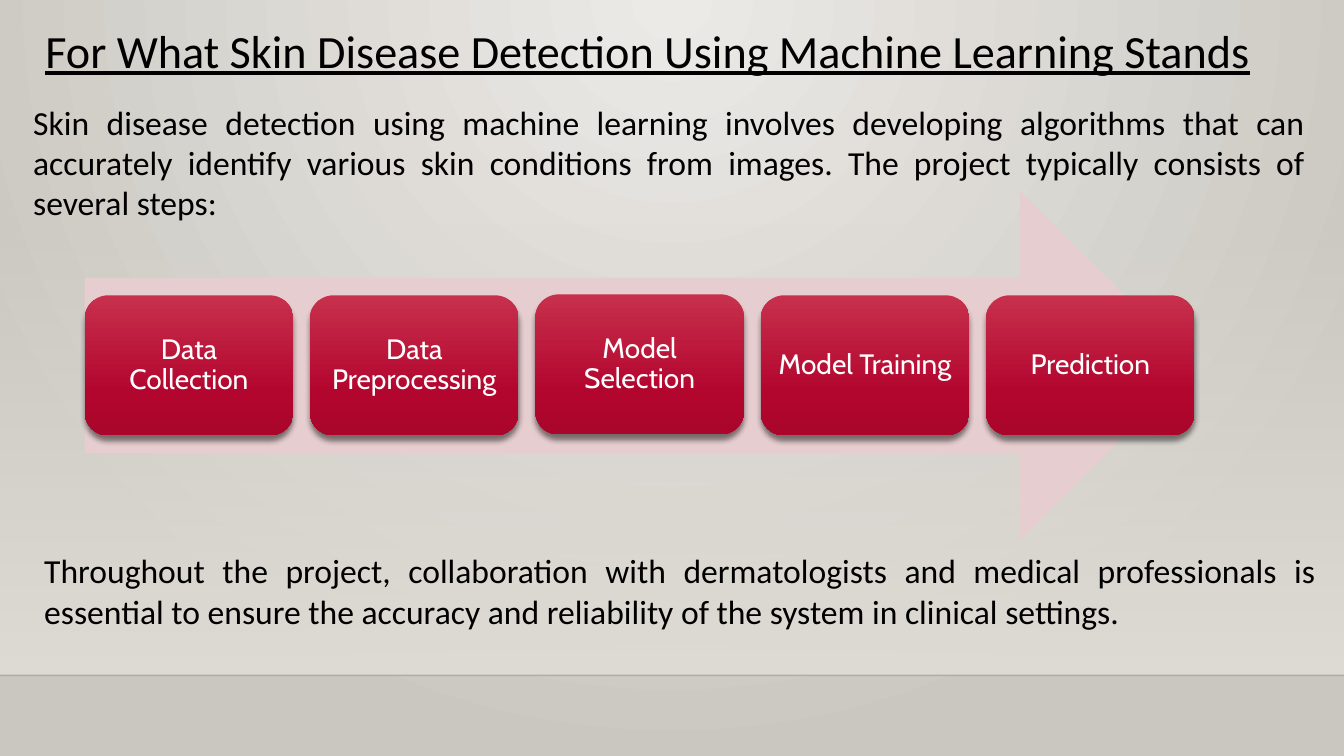
from dataclasses import dataclass

from lxml.etree import SubElement
from pptx import Presentation
from pptx.dml.color import RGBColor
from pptx.enum.shapes import MSO_CONNECTOR as Conn, MSO_SHAPE as Kind
from pptx.enum.text import MSO_ANCHOR as Anchor, MSO_AUTO_SIZE as Fit, PP_ALIGN as Align
from pptx.oxml import parse_xml
from pptx.oxml.ns import nsdecls, qn
from pptx.shapes.autoshape import Shape
from pptx.slide import Slide
from pptx.text.text import TextFrame
from pptx.util import Inches, Pt


@dataclass(frozen=True)
class Stop:
    pos: int
    color: str
    alpha: int = 100


@dataclass(frozen=True)
class Theme:
    text: str = "000000"
    label: str = "FFFFFF"
    arrow: str = "E6CDCF"
    rule: str = "000001"
    back: tuple[Stop, ...] = (Stop(0, "ECEAE7"), Stop(100, "CAC7C1"))
    shade: tuple[Stop, ...] = (Stop(0, "DFDBD5", 0), Stop(100, "DFDBD5"))
    step: tuple[Stop, ...] = (Stop(0, "C7304C"), Stop(69, "B3062F"), Stop(100, "AA062C"))
    font: str = "Calibri"
    step_font: str = "Cabin"
    title_size: int = 33
    body_size: int = 24
    step_size: int = 20


@dataclass(frozen=True)
class Step:
    label: str
    top: float = 2.93


@dataclass(frozen=True)
class Note:
    left: float
    top: float
    width: float
    height: float
    text: str


THEME = Theme()
WIDTH, HEIGHT = 13.33, 7.5
FLOOR = 6.7
STEP_LEFT, STEP_PITCH = 0.84, 2.235
STEP_WIDTH, STEP_HEIGHT = 2.07, 1.39
DOWN = '<a:lin ang="5400000" scaled="0"/>'
ROUND = '<a:path path="circle"><a:fillToRect l="43000" r="43000" b="100000"/></a:path>'

TITLE = "For What Skin Disease Detection Using Machine Learning Stands"
STEPS = [
    Step("Data Collection"),
    Step("Data Preprocessing"),
    Step("Model Selection", 2.92),
    Step("Model Training"),
    Step("Prediction"),
]
NOTES = [
    Note(0.23, 0.96, 12.81, 1.32,
         "Skin disease detection using machine learning involves developing algorithms "
         "that can accurately identify various skin conditions from images. "
         "The project typically consists of several steps:"),
    Note(0.34, 5.41, 12.81, 0.91,
         "Throughout the project, collaboration with dermatologists and medical "
         "professionals is essential to ensure the accuracy and reliability of the "
         "system in clinical settings."),
]


def grad_xml(stops: tuple[Stop, ...], course: str) -> str:
    marks = "".join(
        f'<a:gs pos="{s.pos * 1000}"><a:srgbClr val="{s.color}">'
        f'<a:alpha val="{s.alpha * 1000}"/></a:srgbClr></a:gs>' for s in stops)
    return (f'<a:gradFill {nsdecls("a")} rotWithShape="1">'
            f'<a:gsLst>{marks}</a:gsLst>{course}</a:gradFill>')


def paint_back(slide: Slide) -> None:
    back = parse_xml(f'<p:bg {nsdecls("p", "a")}><p:bgPr>'
                     f'{grad_xml(THEME.back, ROUND)}<a:effectLst/></p:bgPr></p:bg>')
    slide.element.find(qn("p:cSld")).insert(0, back)


def add_block(slide: Slide, kind: Kind, left: float, top: float,
              width: float, height: float) -> Shape:
    """Add a preset shape with neither outline nor shadow."""
    block = slide.shapes.add_shape(
        kind, Inches(left), Inches(top), Inches(width), Inches(height))
    block.line.fill.background()
    block.shadow.inherit = False
    return block


def fill_grad(block: Shape, stops: tuple[Stop, ...]) -> None:
    geom = block.element.spPr.find(qn("a:prstGeom"))
    geom.addnext(parse_xml(grad_xml(stops, DOWN)))


def write(frame: TextFrame, text: str, size: int, align: Align,
          font: str = THEME.font, color: str = THEME.text, under: bool = False) -> None:
    frame.word_wrap = True
    frame.auto_size = Fit.NONE
    para = frame.paragraphs[0]
    para.alignment = align
    run = para.add_run()
    run.text = text
    run.font.name = font
    run.font.size = Pt(size)
    run.font.color.rgb = RGBColor.from_string(color)
    if under:
        run.font.underline = True


def add_floor(slide: Slide) -> None:
    fill_grad(add_block(slide, Kind.RECTANGLE, 0, 2.21, WIDTH, FLOOR - 2.21), THEME.shade)
    rule = slide.shapes.add_connector(
        Conn.STRAIGHT, 0, Inches(FLOOR), Inches(WIDTH), Inches(FLOOR))
    rule.line.width = Pt(1)
    rule.line.color.rgb = RGBColor.from_string(THEME.rule)
    props = rule.element.spPr
    SubElement(next(props.iter(qn("a:srgbClr"))), qn("a:alpha"), val="20000")
    SubElement(props, qn("a:effectLst"))


def add_title(slide: Slide) -> None:
    title = slide.shapes.title
    title.left, title.top = Inches(0.35), Inches(0.17)
    title.width, title.height = Inches(12.62), Inches(0.66)
    title.text_frame.vertical_anchor = Anchor.TOP
    write(title.text_frame, TITLE, THEME.title_size, Align.LEFT, under=True)


def add_note(slide: Slide, note: Note) -> None:
    box = slide.shapes.add_textbox(
        Inches(note.left), Inches(note.top), Inches(note.width), Inches(note.height))
    write(box.text_frame, note.text, THEME.body_size, Align.JUSTIFY)


def add_step(slide: Slide, step: Step, left: float) -> None:
    card = add_block(slide, Kind.ROUNDED_RECTANGLE, left, step.top, STEP_WIDTH, STEP_HEIGHT)
    fill_grad(card, THEME.step)
    glow = card.element.spPr.find(qn("a:effectLst"))
    glow.append(parse_xml(
        f'<a:outerShdw {nsdecls("a")} blurRad="{Pt(4)}" dist="{Pt(4)}" dir="5400000" '
        'rotWithShape="0"><a:srgbClr val="000000"><a:alpha val="48000"/></a:srgbClr>'
        '</a:outerShdw>'))
    frame = card.text_frame
    frame.margin_left = frame.margin_right = Inches(0.08)
    frame.margin_top = frame.margin_bottom = Inches(0.08)
    frame.vertical_anchor = Anchor.MIDDLE
    write(frame, step.label, THEME.step_size, Align.CENTER, THEME.step_font, THEME.label)
    frame.paragraphs[0].line_spacing = 0.9


def main() -> None:
    deck = Presentation()
    deck.slide_width, deck.slide_height = Inches(WIDTH), Inches(HEIGHT)
    slide = deck.slides.add_slide(deck.slide_layouts.get_by_name("Title Only"))
    paint_back(slide)
    add_floor(slide)
    add_title(slide)
    for note in NOTES:
        add_note(slide, note)
    arrow = add_block(slide, Kind.RIGHT_ARROW, STEP_LEFT, 1.89, 11.01, 3.47)
    arrow.fill.solid()
    arrow.fill.fore_color.rgb = RGBColor.from_string(THEME.arrow)
    for i, step in enumerate(STEPS):
        add_step(slide, step, STEP_LEFT + i * STEP_PITCH)
    deck.save("out.pptx")


if __name__ == "__main__":
    main()
